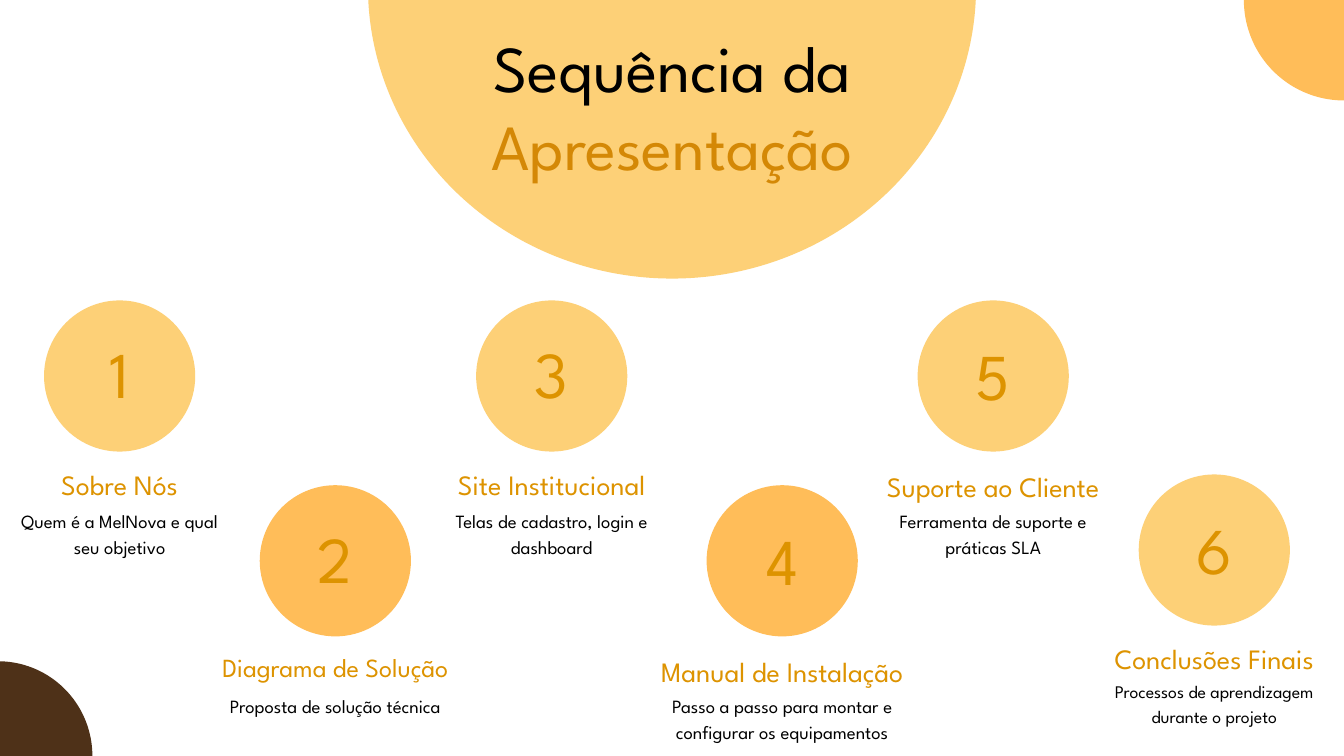
from pptx import Presentation, util as u
from pptx.dml.color import RGBColor
from pptx.enum import shapes, text

WIDTH, HEIGHT = 20, 11.25
FONT = "League Spartan"
HONEY = RGBColor(0xFD, 0xD0, 0x77)
ORANGE = RGBColor(0xFF, 0xBD, 0x59)
BROWN = RGBColor(0x4E, 0x31, 0x18)
AMBER = RGBColor(0xD4, 0x88, 0x06)
GOLD = RGBColor(0xDD, 0x93, 0x00)
BLACK = RGBColor(0, 0, 0)

DECORATIONS = [
    (WIDTH / 2, -0.2, 9.05, 8.69, HONEY),
    (WIDTH, 0, 2.98, 2.99, ORANGE),
    (-0.03, HEIGHT, 2.81, 2.82, BROWN),
]
HEADING = [
    ("Sequência da", 0.57, 70, 72.1, BLACK),
    ("Apresentação", 1.74, 69, 71.1, AMBER),
]
STEPS = [
    dict(title="Sobre Nós", detail="Quem é a MelNova e qual seu objetivo",
         center=1.78, top=4.47, fill=HONEY),
    dict(title="Diagrama de Solução", detail="Proposta de solução técnica",
         center=4.99, top=7.22, fill=ORANGE, title_size=28, title_width=3.91),
    dict(title="Site Institucional", detail="Telas de cadastro, login e dashboard",
         center=8.21, top=4.47, fill=HONEY),
    dict(title="Manual de Instalação",
         detail="Passo a passo para montar e configurar os equipamentos",
         center=11.64, top=7.22, fill=ORANGE, title_width=4.04,
         detail_width=3.8, number_gap=0.68, title_gap=2.44),
    dict(title="Suporte ao Cliente", detail="Ferramenta de suporte e práticas SLA",
         center=14.78, top=4.47, fill=HONEY, title_width=3.68,
         number_gap=0.68, title_gap=2.44),
    dict(title="Conclusões Finais", detail="Processos de aprendizagem durante o projeto",
         center=18.07, top=7.06, fill=HONEY, title_width=3.44, detail_width=3.55,
         detail_size=19, number_gap=0.68, detail_gap=3.02),
]
CIRCLE = 2.25
LEADING = 1.4


def add_oval(slide, center, middle, width, height, fill):
    shape = slide.shapes.add_shape(
        shapes.MSO_SHAPE.OVAL, u.Inches(center - width / 2),
        u.Inches(middle - height / 2), u.Inches(width), u.Inches(height))
    shape.shadow.inherit = False
    shape.fill.solid()
    shape.fill.fore_color.rgb = fill
    shape.line.fill.background()


def add_text(slide, content, *, center, top, width, height, size, color, spacing):
    box = slide.shapes.add_textbox(
        u.Inches(center - width / 2), u.Inches(top), u.Inches(width), u.Inches(height))
    frame = box.text_frame
    frame.word_wrap = True
    frame.margin_left = frame.margin_right = 0
    frame.margin_top = frame.margin_bottom = 0
    paragraph = frame.paragraphs[0]
    paragraph.alignment = text.PP_ALIGN.CENTER
    paragraph.line_spacing = u.Pt(spacing)
    run = paragraph.add_run()
    run.text = content
    run.font.name = FONT
    run.font.size = u.Pt(size)
    run.font.color.rgb = color


def add_step(slide, number, title, detail, center, top, fill, title_size=30,
             detail_size=20, title_width=3.28, detail_width=3.28,
             number_gap=0.65, title_gap=2.4, detail_gap=3.06):
    add_oval(slide, center, top + CIRCLE / 2, CIRCLE, CIRCLE, fill)
    add_text(slide, title, center=center, top=top + title_gap, width=title_width,
             height=0.55, size=title_size, color=GOLD, spacing=title_size * LEADING)
    add_text(slide, detail, center=center, top=top + detail_gap, width=detail_width,
             height=0.75, size=detail_size, color=BLACK, spacing=detail_size * LEADING)
    add_text(slide, str(number), center=center, top=top + number_gap, width=1.77,
             height=1.05, size=70, color=GOLD, spacing=72.1)


def main():
    presentation = Presentation()
    presentation.slide_width = u.Inches(WIDTH)
    presentation.slide_height = u.Inches(HEIGHT)
    slide = presentation.slides.add_slide(presentation.slide_layouts[6])
    for decoration in DECORATIONS:
        add_oval(slide, *decoration)
    for content, top, size, spacing, color in HEADING:
        add_text(slide, content, center=WIDTH / 2, top=top, width=6.2, height=1.05,
                 size=size, color=color, spacing=spacing)
    for number, step in enumerate(STEPS, 1):
        add_step(slide, number, **step)
    presentation.save("out.pptx")


if __name__ == "__main__":
    main()
